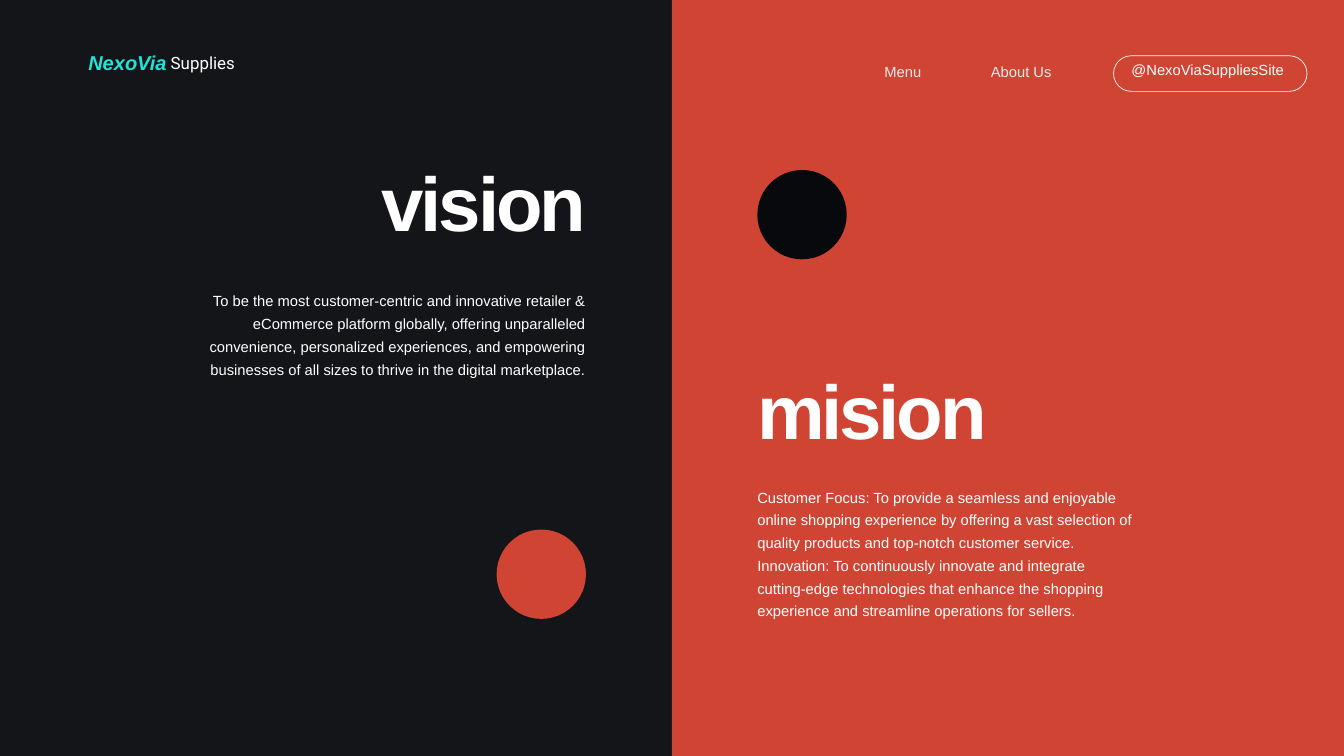
from pptx import Presentation
from pptx.dml.color import RGBColor
from pptx.enum.shapes import MSO_SHAPE as SHAPE
from pptx.enum.text import MSO_ANCHOR, PP_ALIGN as AL
from pptx.util import Inches, Pt

W, H = 20, 11.25
HALF = W / 2
MARGIN = 1.28
LEFT_EDGE, RIGHT_EDGE = HALF - MARGIN, HALF + MARGIN - 0.01
TITLE_W, BODY_W, DOT = 3.46, 5.66, 1.33
DARK, RED, BLACK, WHITE, PALE, TEAL = "141519", "CF4432", "08090D", "FFFFFF", "EBEBEB", "20E2D7"

VISION = ["To be the most customer-centric and innovative retailer & eCommerce platform globally, "
          "offering unparalleled convenience, personalized experiences, and empowering businesses "
          "of all sizes to thrive in the digital marketplace."]
MISSION = ["Customer Focus: To provide a seamless and enjoyable online shopping experience by offering "
           "a vast selection of quality products and top-notch customer service.",
           "Innovation: To continuously innovate and integrate cutting-edge technologies that enhance "
           "the shopping experience and streamline operations for sellers."]

NAV = dict(size=15.8, leading=13.9, align=AL.RIGHT)
TITLE = dict(size=81.6, leading=84.8, bold=True, spacing=-340)
BODY = dict(size=15.8, leading=24.4)

SHAPES = [
    (SHAPE.RECTANGLE, (0, 0, HALF, H), DARK),
    (SHAPE.RECTANGLE, (HALF, 0, HALF, H), RED),
    (SHAPE.OVAL, (LEFT_EDGE - DOT, 7.88, DOT, DOT), RED),
    (SHAPE.OVAL, (RIGHT_EDGE, 2.53, DOT, DOT), BLACK),
    (SHAPE.ROUNDED_RECTANGLE, (16.57, 0.83, 2.88, 0.53), None),
]
TEXTS = [
    (["About Us"], (14.41, 1.01, 1.24, 0.24), dict(NAV, color=PALE)),
    (["Menu"], (12.82, 1.01, 0.89, 0.24), dict(NAV, color=PALE)),
    (["@NexoViaSuppliesSite"], (15.83, 0.98, 3.28, 0.24), NAV),
    (["vision"], (LEFT_EDGE - TITLE_W, 2.5, TITLE_W, 1.39), dict(TITLE, align=AL.RIGHT)),
    (["mision"], (RIGHT_EDGE, 5.59, TITLE_W, 1.39), dict(TITLE, align=AL.JUSTIFY)),
    (VISION, (LEFT_EDGE - BODY_W, 4.27, BODY_W, 1.35), dict(BODY, align=AL.RIGHT)),
    (MISSION, (RIGHT_EDGE, 7.19, BODY_W, 2.02), BODY),
    (["NexoVia"], (1.18, 0.77, 1.3, 0.33),
     dict(size=21.5, leading=24.2, align=AL.RIGHT, color=TEAL, bold=True, italic=True)),
    (["Supplies"], (2.54, 0.8, 1.05, 0.28), dict(size=18.1, leading=20.5, font="Roboto")),
]


def rgb(value):
    """Turn a hex string into a colour."""
    return RGBColor.from_string(value)


def add_shape(s, kind, box, fill):
    """Draw a filled shape, or a white outline when there is no fill."""
    sp = s.shapes.add_shape(kind, *map(Inches, box))
    sp.shadow.inherit = False
    if fill:
        sp.fill.solid()
        sp.fill.fore_color.rgb = rgb(fill)
        sp.line.fill.background()
    else:
        sp.adjustments[0] = 0.5
        sp.fill.background()
        sp.line.color.rgb = rgb(WHITE)
        sp.line.width = Pt(0.75)


def add_text(s, lines, box, size, leading, align=AL.LEFT, color=WHITE, font="Arial",
             bold=False, italic=False, spacing=None):
    """Add a text box with one paragraph per line."""
    tf = s.shapes.add_textbox(*map(Inches, box)).text_frame
    tf.word_wrap = True
    tf.vertical_anchor = MSO_ANCHOR.TOP
    tf.margin_left = tf.margin_top = tf.margin_right = tf.margin_bottom = 0
    for i, line in enumerate(lines):
        p = tf.add_paragraph() if i else tf.paragraphs[0]
        p.alignment, p.line_spacing = align, Pt(leading)
        r = p.add_run()
        r.text = line
        r.font.name, r.font.size = font, Pt(size)
        r.font.bold, r.font.italic = bold, italic
        r.font.color.rgb = rgb(color)
        if spacing is not None:
            r.font._element.set("spc", str(spacing))


def main():
    """Build the vision and mission slide."""
    prs = Presentation()
    prs.slide_width, prs.slide_height = Inches(W), Inches(H)
    s = prs.slides.add_slide(prs.slide_layouts[6])
    s.background.fill.solid()
    s.background.fill.fore_color.rgb = rgb(PALE)
    for kind, box, fill in SHAPES:
        add_shape(s, kind, box, fill)
    for lines, box, style in TEXTS:
        add_text(s, lines, box, **style)
    prs.save("out.pptx")


if __name__ == "__main__":
    main()
